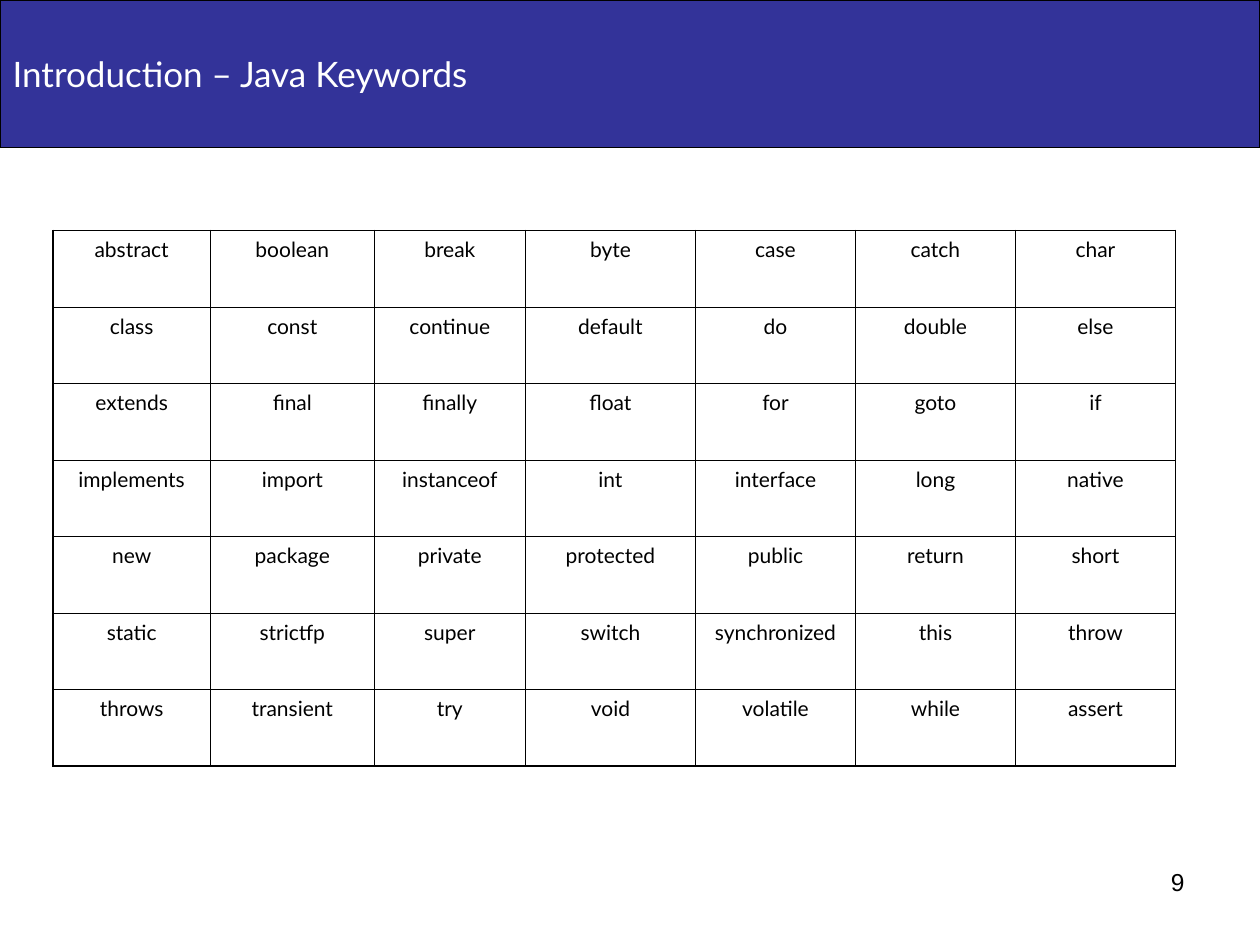
"""Build the Java keywords slide: a title band, a keyword table and a page number."""
from dataclasses import dataclass

from lxml import etree
from pptx import Presentation
from pptx.dml.color import RGBColor
from pptx.enum.text import MSO_ANCHOR, PP_ALIGN
from pptx.oxml.ns import qn
from pptx.util import Inches, Pt

LEFT, CENTER, RIGHT = PP_ALIGN.LEFT, PP_ALIGN.CENTER, PP_ALIGN.RIGHT
TOP, MIDDLE = MSO_ANCHOR.TOP, MSO_ANCHOR.MIDDLE


@dataclass(frozen=True)
class Theme:
    band: str = "333399"
    ink: str = "000000"
    paper: str = "FFFFFF"
    font: str = "Lato"
    number_font: str = "Arial"
    title_size: int = 20
    cell_size: int = 12
    number_size: int = 14
    band_line: float = 0.75
    inner_line: float = 0.45
    outer_line: float = 1.08


THEME = Theme()


def write(tf, text, size, color=THEME.ink, font=THEME.font, align=LEFT):
    p = tf.paragraphs[0]
    p.alignment = align
    r = p.add_run()
    r.text = text
    r.font.size = Pt(size)
    r.font.name = font
    r.font.bold = False
    r.font.color.rgb = RGBColor.from_string(color)


def add_border(cell, side, width):
    ln = etree.SubElement(cell._tc.get_or_add_tcPr(), qn(f"a:ln{side}"), w=str(Pt(width)))
    fill = etree.SubElement(ln, qn("a:solidFill"))
    etree.SubElement(fill, qn("a:srgbClr"), val=THEME.ink)


KEYWORDS = [
    "abstract boolean break byte case catch char",
    "class const continue default do double else",
    "extends final finally float for goto if",
    "implements import instanceof int interface long native",
    "new package private protected public return short",
    "static strictfp super switch synchronized this throw",
    "throws transient try void volatile while assert",
]
COL_WIDTHS = [1.25, 1.3, 1.2, 1.35, 1.27, 1.27, 1.27]
TABLE_HEIGHT = 4.25

prs = Presentation()
prs.slide_width, prs.slide_height = Inches(10), Inches(7.5)
s = prs.slides.add_slide(prs.slide_layouts[5])

title = s.shapes.title
title.left, title.top = Inches(0), Inches(0)
title.width, title.height = Inches(10), Inches(1.17)
title.fill.solid()
title.fill.fore_color.rgb = RGBColor.from_string(THEME.band)
title.line.color.rgb = RGBColor.from_string(THEME.ink)
title.line.width = Pt(THEME.band_line)
title.text_frame.vertical_anchor = MIDDLE
title.text_frame.word_wrap = True
write(title.text_frame, "Introduction – Java Keywords", THEME.title_size, color=THEME.paper)

n_rows, n_cols = len(KEYWORDS), len(COL_WIDTHS)
table = s.shapes.add_table(n_rows, n_cols, Inches(0.42), Inches(1.83),
                           Inches(sum(COL_WIDTHS)), Inches(TABLE_HEIGHT)).table
table.first_row = table.horz_banding = False
for col, width in zip(table.columns, COL_WIDTHS):
    col.width = Inches(width)

for i, line in enumerate(KEYWORDS):
    table.rows[i].height = Inches(TABLE_HEIGHT / n_rows)
    for j, word in enumerate(line.split()):
        cell = table.cell(i, j)
        cell.vertical_anchor = TOP
        edges = {"L": j == 0, "R": j == n_cols - 1, "T": i == 0, "B": i == n_rows - 1}
        for side, outer in edges.items():
            add_border(cell, side, THEME.outer_line if outer else THEME.inner_line)
        cell.fill.background()
        write(cell.text_frame, word, THEME.cell_size, align=CENTER)

number = s.shapes.add_textbox(Inches(7.17), Inches(6.83), Inches(2.33), Inches(0.52))
number.text_frame.word_wrap = True
write(number.text_frame, "9", THEME.number_size, font=THEME.number_font, align=RIGHT)

prs.save("out.pptx")
